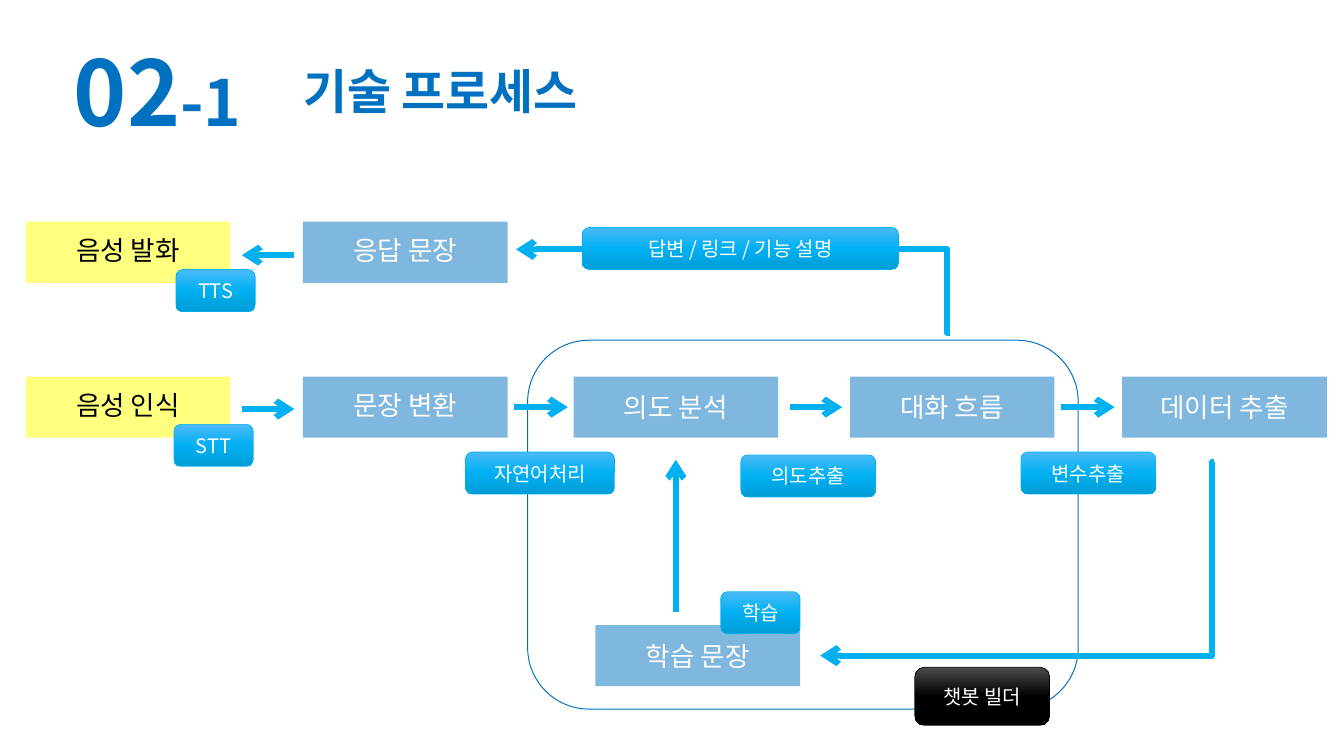
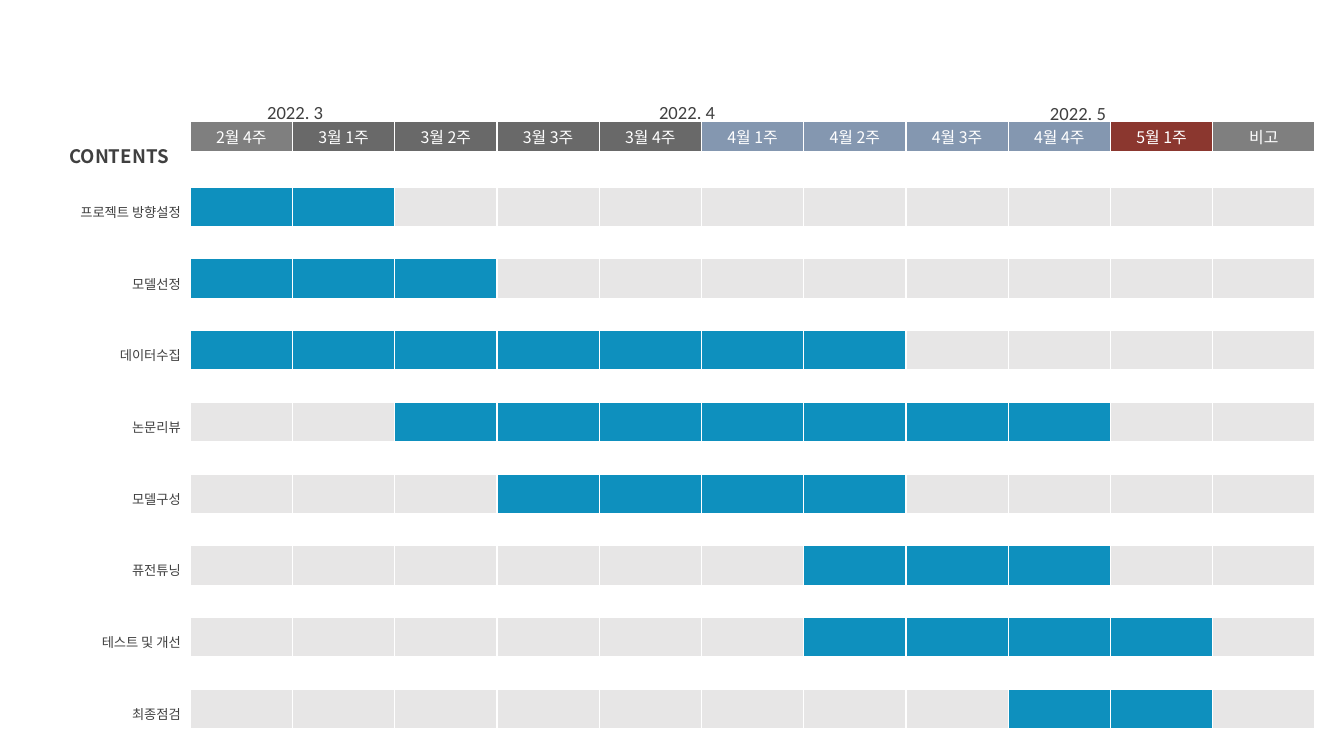
from lxml import etree
from pptx import Presentation
from pptx import util as u
from pptx.dml.color import RGBColor
from pptx.enum import shapes, text
from pptx.oxml import ns

PX = 9144  # one px is a hundredth of an inch
FONT = "Noto Sans CJK KR"
BLUE, SKY, YELLOW, BLACK, WHITE = "0071C1", "01B0F1", "FFFF00", "000000", "FFFFFF"
DARK, GREY, BAR, EMPTY = "404040", "7F7F7F", "0E90BE", "E7E6E6"
SKY_STOPS = ("4BBAF7", "00B0F2", "009DD7")
BLACK_STOPS = ("4B4B4B", "000000", "000000")

# Process slide: text, left, top, fill, text colour, line spacing
STEP_SIZE = (214, 64)
STEPS = [
    ("음성 발화", 27, 232, YELLOW, BLACK, 0.9),
    ("응답 문장", 317, 232, BLUE, WHITE, 0.9),
    ("음성 인식", 27, 394, YELLOW, BLACK, 0.9),
    ("문장 변환", 317, 394, BLUE, WHITE, 0.9),
    ("의도 분석", 600, 394, BLUE, WHITE, 1.0),
    ("대화 흐름", 889, 394, BLUE, WHITE, 1.0),
    ("데이터 추출", 1174, 394, BLUE, WHITE, 1.0),
    ("학습 문장", 623, 654, BLUE, WHITE, 1.0),
]
# Start and end of each arrow
ARROWS = [
    (308, 267, 253, 267), (253, 428, 308, 428), (538, 426, 594, 426),
    (826, 426, 881, 426), (1110, 426, 1166, 426), (707, 640, 707, 481),
]
# Bent arrows: start, end, position of the bend in 1/100000 of the width
ANSWER_ARROW = (994, 348, 540, 261, 700)
LEARNING_ARROW = (1270, 483, 858, 686, 500)
# Tags: text, left, top, width, height
TAGS = [
    ("TTS", 184, 282, 83, 44), ("STT", 182, 444, 83, 44),
    ("답변 / 링크 / 기능 설명", 609, 238, 331, 44),
    ("자연어처리", 487, 473, 156, 44), ("의도추출", 775, 476, 141, 44),
    ("변수추출", 1068, 473, 141, 44), ("학습", 754, 619, 83, 44),
]
BUILDER_TAG = ("챗봇 빌더", 957, 698, 141, 61)

# Schedule slide
WEEKS = [("2월 4주", GREY)]
WEEKS += [(f"3월 {week}주", "696969") for week in range(1, 5)]
WEEKS += [(f"4월 {week}주", "8497B0") for week in range(1, 5)]
WEEKS += [("5월 1주", "8B372F"), ("비고", GREY)]
# Task, first week, last week
TASKS = [
    ("프로젝트 방향설정", 1, 2), ("모델선정", 1, 3), ("데이터수집", 1, 7),
    ("논문리뷰", 3, 9), ("모델구성", 4, 7), ("퓨전튜닝", 7, 9),
    ("테스트 및 개선", 7, 10), ("최종점검", 9, 10),
]
MONTHS = [("2022. 3", 237, 89), ("2022. 4", 647, 89), ("2022. 5", 1056, 90)]
LABEL_WIDTH, WEEK_WIDTH = 149, 107
HEAD_HEIGHT, SPACER_HEIGHT, TASK_HEIGHT, GAP_HEIGHT = 30, 38, 40, 35


def color(value):
    return RGBColor.from_string(value)


def px(*lengths):
    return [u.Emu(length * PX) for length in lengths]


def write(frame, *runs, size=20, ink=WHITE, bold=False, font=FONT,
          align=text.PP_ALIGN.CENTER, spacing=None):
    """Fill the first paragraph; a run is a text or a (text, size) pair."""
    paragraph = frame.paragraphs[0]
    paragraph.alignment = align
    if spacing:
        paragraph.line_spacing = spacing
    for item in runs:
        words, points = item if isinstance(item, tuple) else (item, size)
        run = paragraph.add_run()
        run.text = words
        run.font.size = u.Pt(points)
        run.font.bold = bold
        run.font.name = font
        run.font.color.rgb = color(ink)
        east_asian = etree.SubElement(run.font._element, ns.qn("a:ea"))
        east_asian.set("typeface", font)


def add_text(slide, box, *runs, **style):
    frame = slide.shapes.add_textbox(*px(*box)).text_frame
    frame.word_wrap = True
    write(frame, *runs, **style)


def add_box(slide, kind, box, fill=None, line=None, width=0.5):
    shape = slide.shapes.add_shape(kind, *px(*box))
    shape.shadow.inherit = False
    if fill:
        shape.fill.solid()
        shape.fill.fore_color.rgb = color(fill)
    else:
        shape.fill.background()
    if line:
        shape.line.color.rgb = color(line)
        shape.line.width = u.Pt(width)
    else:
        shape.line.fill.background()
    shape.text_frame.vertical_anchor = text.MSO_ANCHOR.MIDDLE
    return shape


def add_step(slide, words, left, top, fill, ink, spacing):
    shape = add_box(slide, shapes.MSO_SHAPE.RECTANGLE, (left, top, *STEP_SIZE), fill)
    solid = shape._element.spPr.find(ns.qn("a:solidFill"))
    etree.SubElement(solid[0], ns.qn("a:alpha")).set("val", "50000")
    write(shape.text_frame, words, ink=ink, spacing=spacing)


def add_tag(slide, words, *box, stops=SKY_STOPS, line=SKY):
    shape = add_box(slide, shapes.MSO_SHAPE.ROUNDED_RECTANGLE, box, line=line)
    shape.fill.gradient()
    shape.fill.gradient_angle = 270
    stop_list = shape._element.spPr.find(ns.qn("a:gradFill")).find(ns.qn("a:gsLst"))
    for stop in list(stop_list):
        stop_list.remove(stop)
    for index, value in enumerate(stops):
        stop = etree.SubElement(stop_list, ns.qn("a:gs"), pos=str(index * 50000))
        etree.SubElement(stop, ns.qn("a:srgbClr"), val=value)
    write(shape.text_frame, words, size=15)


def add_arrow(slide, left, top, right, bottom, bend=None):
    kind = shapes.MSO_CONNECTOR.STRAIGHT if bend is None else shapes.MSO_CONNECTOR.ELBOW
    arrow = slide.shapes.add_connector(kind, *px(left, top, right, bottom))
    arrow.line.color.rgb = color(SKY)
    arrow.line.width = u.Pt(4.5)
    properties = arrow._element.spPr
    line = properties.find(ns.qn("a:ln"))
    etree.SubElement(line, ns.qn("a:tailEnd"), type="arrow")
    etree.SubElement(properties, ns.qn("a:effectLst"))
    if bend is not None:
        guides = properties.find(ns.qn("a:prstGeom")).find(ns.qn("a:avLst"))
        etree.SubElement(guides, ns.qn("a:gd"), name="adj1", fmla=f"val {bend}")


def set_cell(cell, fill=None, side_lines=True):
    """Give a table cell its fill, middle anchor and white side borders."""
    cell.vertical_anchor = text.MSO_ANCHOR.MIDDLE
    properties = cell._tc.get_or_add_tcPr()
    for side in ("a:lnL", "a:lnR", "a:lnT", "a:lnB"):
        line = etree.SubElement(properties, ns.qn(side), w="12700")
        if side_lines and side in ("a:lnL", "a:lnR"):
            solid = etree.SubElement(line, ns.qn("a:solidFill"))
            etree.SubElement(solid, ns.qn("a:srgbClr"), val=WHITE)
        else:
            etree.SubElement(line, ns.qn("a:noFill"))
    if fill:
        cell.fill.solid()
        cell.fill.fore_color.rgb = color(fill)
    else:
        cell.fill.background()


def clear_margins(cell):
    cell.margin_left = cell.margin_right = cell.margin_top = cell.margin_bottom = 0


def build_process(presentation):
    slide = presentation.slides.add_slide(presentation.slide_layouts[5])
    # Number and title
    add_text(slide, (26, 33, 278, 125), ("02", 68), ("-1", 48), ink=BLUE, bold=True)
    title = slide.shapes.title
    title.left, title.top, title.width, title.height = px(307, 60, 359, 71)
    frame = title.text_frame
    frame.auto_size = text.MSO_AUTO_SIZE.NONE
    frame.word_wrap = False
    frame.vertical_anchor = text.MSO_ANCHOR.TOP
    write(frame, "기술 프로세스", size=36, ink=BLUE, bold=True, align=text.PP_ALIGN.LEFT)
    # Frame of the chatbot builder, steps, arrows and tags
    add_box(slide, shapes.MSO_SHAPE.ROUNDED_RECTANGLE, (552, 356, 576, 386),
            line=BLUE, width=0.75)
    for step in STEPS:
        add_step(slide, *step)
    for arrow in ARROWS + [ANSWER_ARROW]:
        add_arrow(slide, *arrow)
    for tag in TAGS:
        add_tag(slide, *tag)
    add_tag(slide, *BUILDER_TAG, stops=BLACK_STOPS, line=BLACK)
    add_arrow(slide, *LEARNING_ARROW)


def build_schedule(presentation):
    slide = presentation.slides.add_slide(presentation.slide_layouts[6])
    # Two header rows, then tasks with a gap row between them
    heights = [HEAD_HEIGHT, SPACER_HEIGHT] + [TASK_HEIGHT, GAP_HEIGHT] * len(TASKS)
    heights.pop()
    widths = [LABEL_WIDTH] + [WEEK_WIDTH] * len(WEEKS)
    table = slide.shapes.add_table(
        len(heights), len(widths), *px(50, 128, sum(widths), sum(heights))).table
    table.first_row = table.horz_banding = False
    for column, width in zip(table.columns, px(*widths)):
        column.width = width
    for row, height in zip(table.rows, px(*heights)):
        row.height = height
    # Cell fills
    fills = {(0, column): fill for column, (_, fill) in enumerate(WEEKS, 1)}
    for index, (_, first, last) in enumerate(TASKS):
        for column in range(1, len(widths)):
            fills[2 + 2 * index, column] = BAR if first <= column <= last else EMPTY
    for row in range(len(heights)):
        for column in range(len(widths)):
            cell = table.cell(row, column)
            set_cell(cell, fills.get((row, column)), side_lines=column > 0)
            if column or row % 2:
                clear_margins(cell)
    # Header and task names
    table.cell(0, 0).merge(table.cell(1, 0))
    write(table.cell(0, 0).text_frame, "CONTENTS", size=14, ink=DARK, bold=True)
    for column, (week, _) in enumerate(WEEKS, 1):
        write(table.cell(0, column).text_frame, week, size=12)
    for index, (task, _, _) in enumerate(TASKS):
        write(table.cell(2 + 2 * index, 0).text_frame, task, size=10, ink=DARK,
              align=text.PP_ALIGN.RIGHT, spacing=1.5)
    # Months above the table
    for month, left, top in MONTHS:
        add_text(slide, (left, top, 111, 45), month, size=14, ink=DARK, font="Calibri",
                 align=text.PP_ALIGN.RIGHT, spacing=1.5)


def main():
    presentation = Presentation()
    presentation.slide_width, presentation.slide_height = px(1406, 791)
    build_process(presentation)
    build_schedule(presentation)
    presentation.save("out.pptx")


if __name__ == "__main__":
    main()
